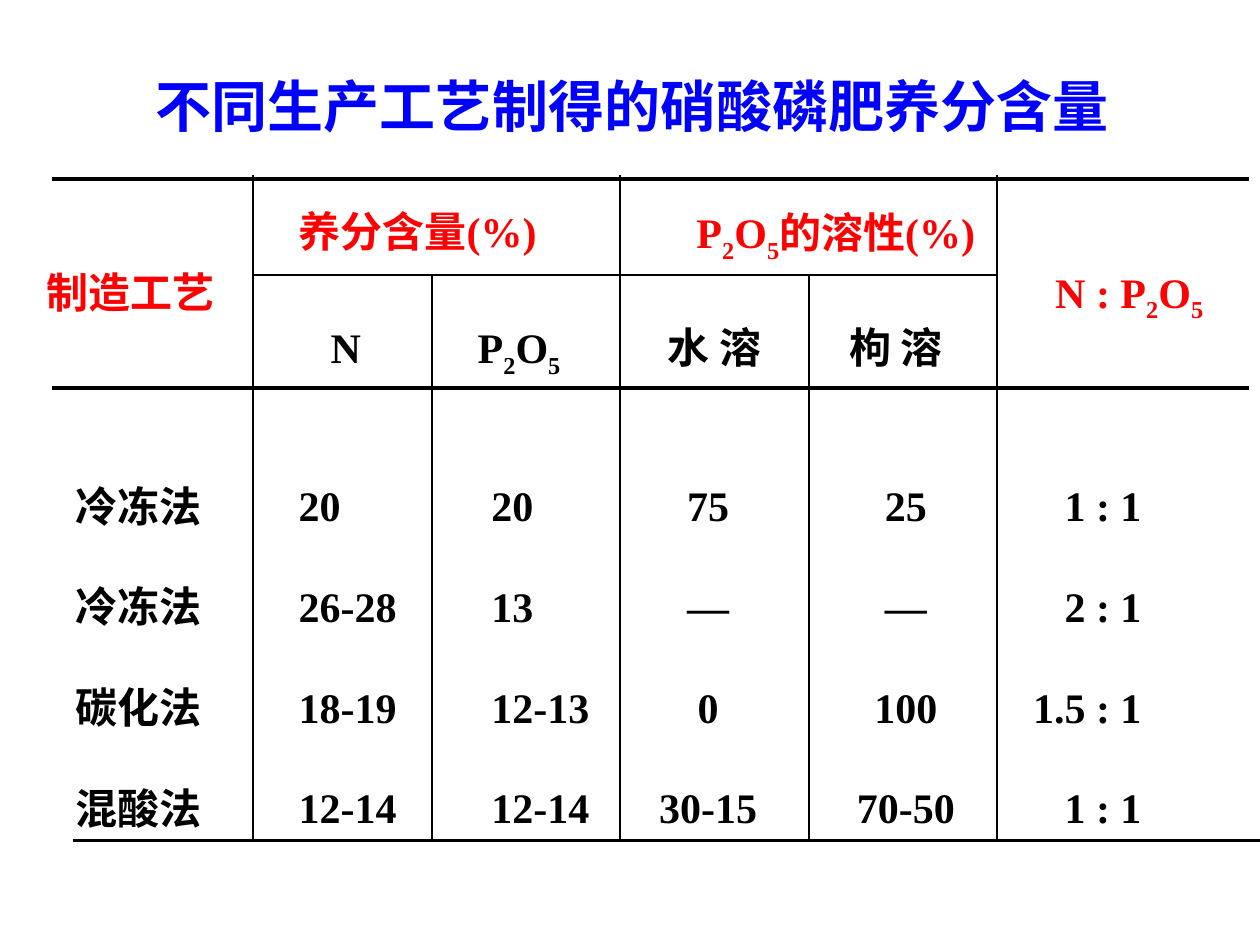
"""Build a slide comparing nutrient contents of nitrophosphate by production process."""
from dataclasses import dataclass

from lxml import etree
from pptx import Presentation
from pptx.dml.color import RGBColor
from pptx.enum.shapes import MSO_CONNECTOR
from pptx.enum.text import MSO_ANCHOR, PP_ALIGN
from pptx.oxml.ns import qn
from pptx.util import Inches, Pt

LEFT, CENTER, RIGHT = PP_ALIGN.LEFT, PP_ALIGN.CENTER, PP_ALIGN.RIGHT
MIDDLE, BOTTOM = MSO_ANCHOR.MIDDLE, MSO_ANCHOR.BOTTOM
STRAIGHT = MSO_CONNECTOR.STRAIGHT


@dataclass(frozen=True)
class Theme:
    """Font, sizes in points and colours."""
    font: str = "Times New Roman"
    title_size: int = 32
    body_size: int = 24
    title: str = "0000FF"
    heading: str = "FF0000"
    ink: str = "000000"
    thick: int = 2
    thin: int = 1


@dataclass(frozen=True)
class Place:
    """Alignment and insets of a cell, in inches."""
    align: PP_ALIGN = CENTER
    left: float = 0
    right: float = 0
    top: float = 0
    bottom: float = 0.05
    anchor: MSO_ANCHOR = BOTTOM


@dataclass(frozen=True)
class Heading:
    """A heading with its grid position, span and runs, every second one subscript."""
    row: int
    column: int
    runs: tuple
    color: str
    place: Place
    rows: int = 1
    columns: int = 1


@dataclass(frozen=True)
class Rule:
    """A straight rule from one point to another, in inches."""
    start: tuple
    end: tuple
    width: int


THEME = Theme()
TABLE_LEFT, TABLE_TOP = 0.37, 1.42
COLUMN_WIDTHS = (1.64, 1.42, 1.49, 1.5, 1.49, 2.0)
ROW_HEIGHTS = (0.76, 0.9, 1.18, 0.8, 0.8, 0.8)
HEADING_ROWS = 2
PHOSPHATE = ("P", "2", "O", "5")

HEADINGS = (
    Heading(0, 0, ("制造工艺",), THEME.heading,
            Place(LEFT, top=0.1, bottom=0, anchor=MIDDLE), rows=2),
    Heading(0, 1, ("养分含量(%)",), THEME.heading, Place(LEFT, 0.36, bottom=0.12), columns=2),
    Heading(0, 3, PHOSPHATE + ("的溶性(%)",), THEME.heading,
            Place(RIGHT, right=0.17, bottom=0.08), columns=2),
    Heading(0, 5, ("N : P",) + PHOSPHATE[1:], THEME.heading,
            Place(RIGHT, right=0.36, top=0.22, bottom=0, anchor=MIDDLE), rows=2),
    Heading(1, 1, ("N",), THEME.ink, Place(left=0.05, bottom=0.12)),
    Heading(1, 2, PHOSPHATE, THEME.ink, Place(right=0.11, bottom=0.07)),
    Heading(1, 3, ("水 溶",), THEME.ink, Place(bottom=0.1)),
    Heading(1, 4, ("枸 溶",), THEME.ink, Place(right=0.11, bottom=0.1)),
)
PROCESSES = (
    ("冷冻法", "20", "20", "75", "25", "1 : 1"),
    ("冷冻法", "26-28", "13", "—", "—", "2 : 1"),
    ("碳化法", "18-19", "12-13", "0", "100", "1.5 : 1"),
    ("混酸法", "12-14", "12-14", "30-15", "70-50", "1 : 1"),
)
VALUE_PLACES = (Place(LEFT, 0.23, bottom=0.02), Place(LEFT, 0.36), Place(LEFT, 0.47),
                Place(right=0.1), Place(left=0.05), Place(RIGHT, right=0.85))


def add_runs(paragraph, runs: tuple, size: int, color: str) -> None:
    """Add bold runs, lowering every second one."""
    for index, text in enumerate(runs):
        run = paragraph.add_run()
        run.text = text
        run.font.name = THEME.font
        run.font.size = Pt(size)
        run.font.bold = True
        run.font.color.rgb = RGBColor.from_string(color)
        if index % 2:
            run._r.get_or_add_rPr().set("baseline", "-25000")


def fill_cell(cell, runs: tuple, color: str, place: Place) -> None:
    """Write and place the text of one cell."""
    cell.margin_left, cell.margin_right = Inches(place.left), Inches(place.right)
    cell.margin_top, cell.margin_bottom = Inches(place.top), Inches(place.bottom)
    cell.vertical_anchor = place.anchor
    paragraph = cell.text_frame.paragraphs[0]
    paragraph.alignment = place.align
    add_runs(paragraph, runs, THEME.body_size, color)


def clear_cell(cell) -> None:
    """Remove the borders and fill of a cell."""
    properties = cell._tc.get_or_add_tcPr()
    for tag in ("a:lnL", "a:lnR", "a:lnT", "a:lnB"):
        etree.SubElement(etree.SubElement(properties, qn(tag)), qn("a:noFill"))
    cell.fill.background()


def add_title(slide, text: str) -> None:
    """Place and format the title."""
    title = slide.shapes.title
    title.left, title.top = Inches(0.27), Inches(0.5)
    title.width, title.height = Inches(9.5), Inches(0.67)
    title.text_frame.vertical_anchor = MIDDLE
    paragraph = title.text_frame.paragraphs[0]
    paragraph.alignment = CENTER
    add_runs(paragraph, (text,), THEME.title_size, THEME.title)


def add_nutrient_table(slide) -> None:
    """Add the table of nutrient contents."""
    table = slide.shapes.add_table(
        len(ROW_HEIGHTS), len(COLUMN_WIDTHS), Inches(TABLE_LEFT), Inches(TABLE_TOP),
        Inches(sum(COLUMN_WIDTHS)), Inches(sum(ROW_HEIGHTS))).table
    table.first_row = table.horz_banding = False
    for column, width in zip(table.columns, COLUMN_WIDTHS):
        column.width = Inches(width)
    for row, height in zip(table.rows, ROW_HEIGHTS):
        row.height = Inches(height)
    for heading in HEADINGS:
        cell = table.cell(heading.row, heading.column)
        if heading.rows * heading.columns > 1:
            cell.merge(table.cell(heading.row + heading.rows - 1,
                                  heading.column + heading.columns - 1))
        fill_cell(cell, heading.runs, heading.color, heading.place)
    for row, process in enumerate(PROCESSES, HEADING_ROWS):
        for column, (value, place) in enumerate(zip(process, VALUE_PLACES)):
            fill_cell(table.cell(row, column), (value,), THEME.ink, place)
    for cell in table.iter_cells():
        clear_cell(cell)


def table_rules() -> list[Rule]:
    """Work out the rules from the columns and rows of the table."""
    xs = [TABLE_LEFT + sum(COLUMN_WIDTHS[:count]) for count in range(len(COLUMN_WIDTHS) + 1)]
    ys = [TABLE_TOP + sum(ROW_HEIGHTS[:count]) for count in range(len(ROW_HEIGHTS) + 1)]
    bottom = ys[-1]
    rules = [
        Rule((xs[1], ys[1]), (xs[5], ys[1]), THEME.thin),
        Rule((0.58, bottom + 0.01), (10, bottom + 0.01), THEME.thick),
    ]
    rules += [Rule((0.41, y), (xs[-1], y), THEME.thick) for y in (ys[HEADING_ROWS], ys[0])]
    for column in range(1, len(COLUMN_WIDTHS)):
        top = ys[0] - 0.03 if column % 2 else ys[1]
        rules.append(Rule((xs[column], top), (xs[column], bottom), THEME.thin))
    return rules


def draw_rule(slide, rule: Rule) -> None:
    """Draw one rule without a shadow."""
    line = slide.shapes.add_connector(STRAIGHT, *map(Inches, rule.start + rule.end))
    line.line.color.rgb = RGBColor.from_string(THEME.ink)
    line.line.width = Pt(rule.width)
    etree.SubElement(line._element.spPr, qn("a:effectLst"))


def main() -> None:
    """Build and save the presentation."""
    deck = Presentation()
    deck.slide_width, deck.slide_height = Inches(10), Inches(7.5)
    slide = deck.slides.add_slide(deck.slide_layouts[5])
    add_title(slide, "不同生产工艺制得的硝酸磷肥养分含量")
    add_nutrient_table(slide)
    for rule in table_rules():
        draw_rule(slide, rule)
    deck.save("out.pptx")


if __name__ == "__main__":
    main()
